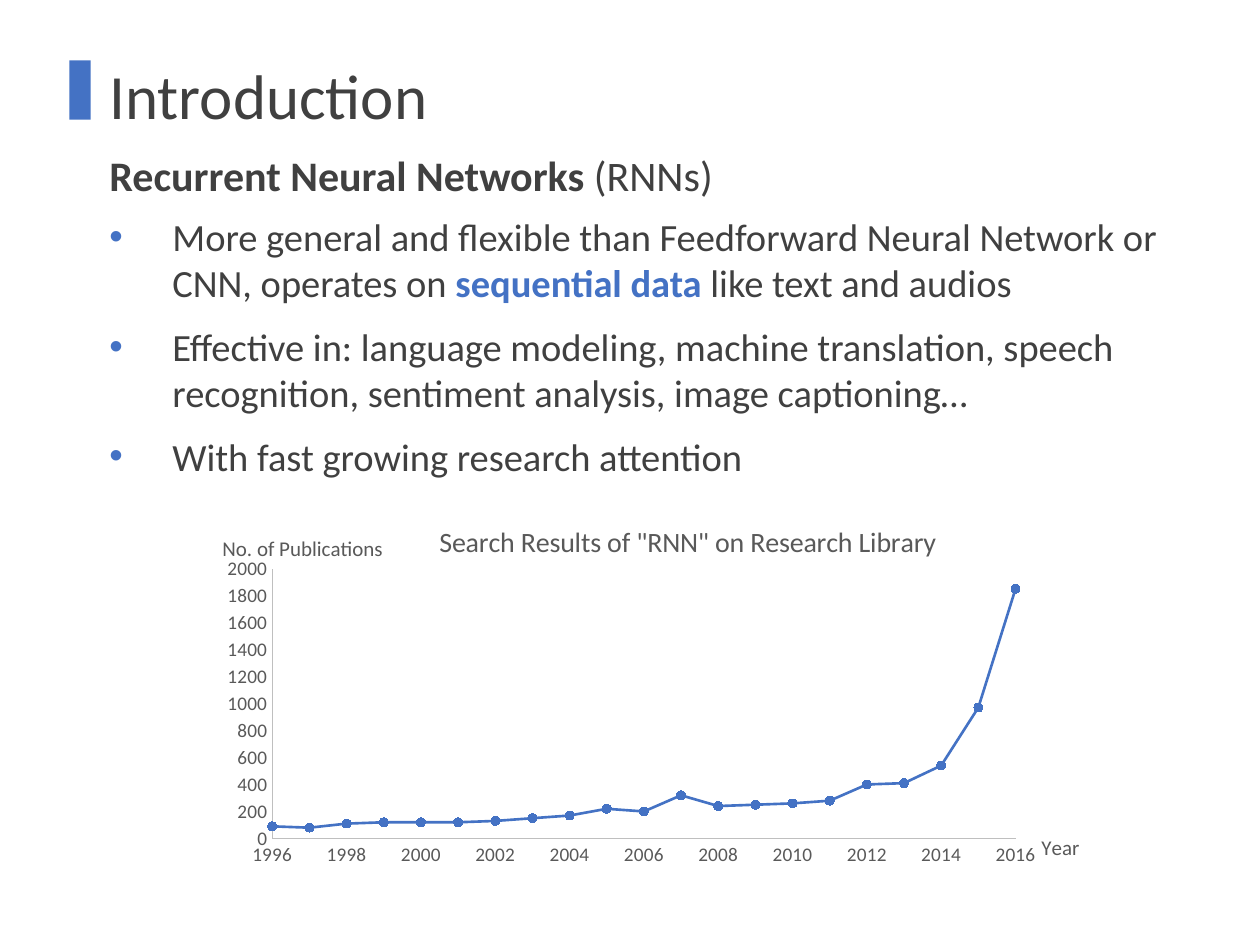
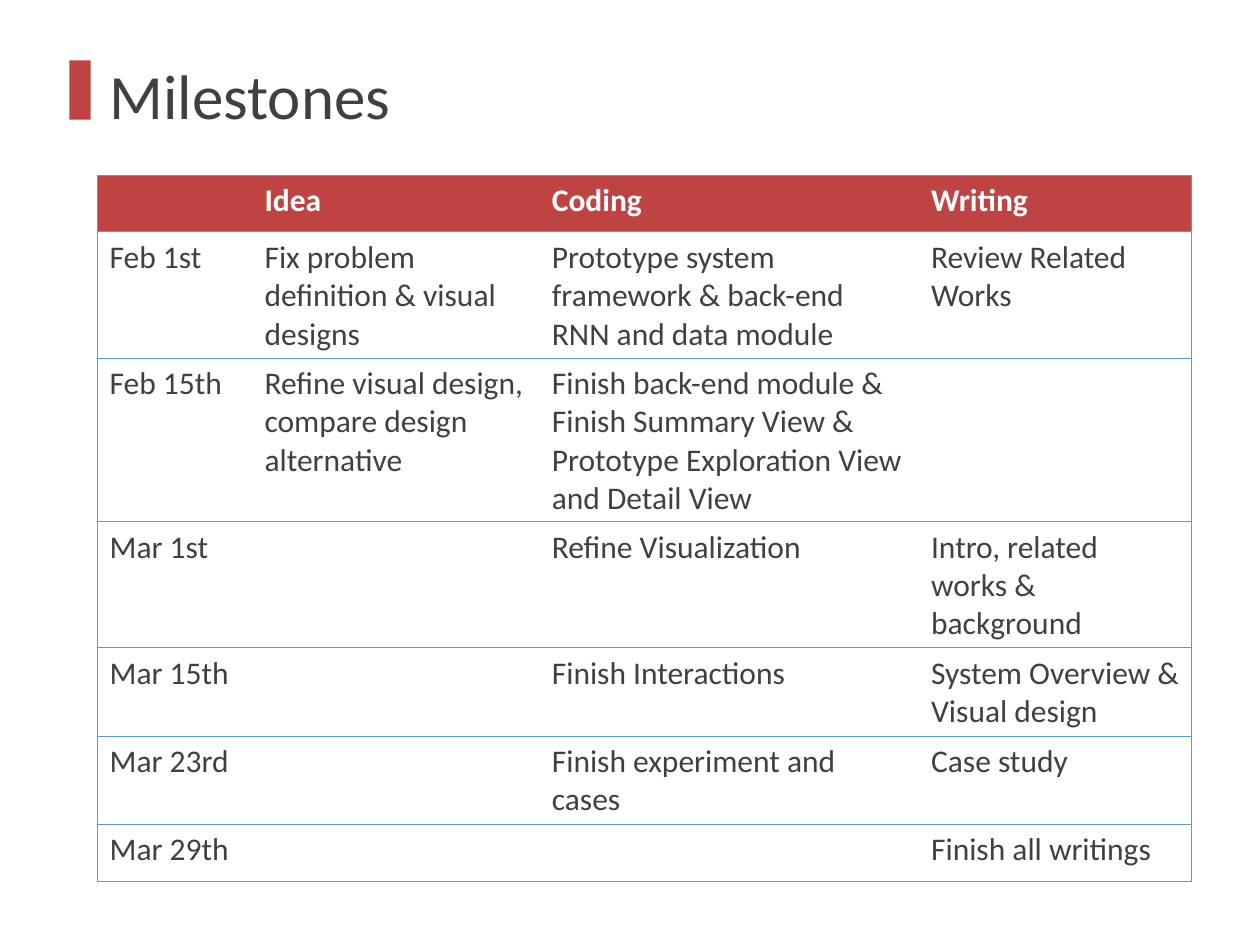
from lxml import etree
from pptx import Presentation
from pptx.chart.data import XyChartData
from pptx.dml.color import RGBColor
from pptx.enum.chart import XL_CHART_TYPE as CT, XL_MARKER_STYLE as MS, XL_TICK_MARK as TM
from pptx.enum.shapes import MSO_SHAPE
from pptx.oxml import parse_xml
from pptx.oxml.ns import nsdecls, qn
from pptx.util import Inches, Pt

FONT = "Calibri"
COLORS = {"text": "404040", "blue": "4472C4", "red": "C04343", "white": "FFFFFF",
          "grid": "5B9BD5", "axis": "BFBFBF", "label": "595959"}
LEFT = 0.77  # shared left edge of all content
PLAIN_TABLE = "{2D5ABB26-0587-4C30-8999-92F81FD0307C}"

BULLETS = [
    [("More general and flexible than Feedforward Neural Network or CNN, operates on ", None),
     ("sequential data ", "blue"), ("like text and audios", None)],
    [("Effective in: language modeling, machine translation, speech recognition, "
      "sentiment analysis, image captioning…", None)],
    [("With fast growing research attention", None)],
]
FIRST_YEAR, LAST_YEAR = 1996, 2016
PUBLICATIONS = [90, 80, 110, 120, 120, 120, 130, 150, 170, 220, 200,
                320, 240, 250, 260, 280, 400, 410, 540, 970, 1850]

COL_WIDTHS = [1.23, 2.28, 3.01, 2.17]
ROW_HEIGHTS = [0.45, 0.77] + [0.45] * 5
MILESTONES = [
    ["", "Idea", "Coding", "Writing"],
    ["Feb 1st", "Fix problem definition & visual designs",
     "Prototype system framework & back-end RNN and data module", "Review Related Works"],
    ["Feb 15th", "Refine visual design, compare design alternative",
     "Finish back-end module & Finish Summary View & Prototype Exploration View "
     "and Detail View", ""],
    ["Mar 1st", "", "Refine Visualization", "Intro, related works & background"],
    ["Mar 15th", "", "Finish Interactions", "System Overview & Visual design"],
    ["Mar 23rd", "", "Finish experiment and cases", "Case study"],
    ["Mar 29th", "", "", "Finish all writings"],
]


def rgb(name):
    return RGBColor.from_string(COLORS[name])


def box(*lengths):
    return [Inches(v) for v in lengths]


def style(font, size, color="text", bold=False):
    font.name, font.size, font.bold = FONT, Pt(size), bold
    font.color.rgb = rgb(color)


def add_run(p, text, size, color="text", bold=False):
    r = p.add_run()
    r.text = text
    style(r.font, size, color, bold)


def add_bullet(p, color):
    pPr = p._p.get_or_add_pPr()
    pPr.set("marL", str(Inches(0.5)))
    pPr.set("indent", str(-Inches(0.5)))
    clr = etree.SubElement(pPr, qn("a:buClr"))
    etree.SubElement(clr, qn("a:srgbClr"), val=COLORS[color])
    etree.SubElement(pPr, qn("a:buFont"), typeface="Arial")
    etree.SubElement(pPr, qn("a:buChar"), char="•")


def add_text(s, top, width, height, paragraphs, bullet=None):
    """Each paragraph is a list of (text, size, color, bold) runs."""
    tf = s.shapes.add_textbox(*box(LEFT, top, width, height)).text_frame
    tf.word_wrap = True
    for i, runs in enumerate(paragraphs):
        p = tf.add_paragraph() if i else tf.paragraphs[0]
        p.space_before = Pt(10)
        if bullet:
            add_bullet(p, bullet)
        for run in runs:
            add_run(p, *run)


def add_titled_slide(prs, title, accent):
    s = prs.slides.add_slide(prs.slide_layouts[6])
    bar = s.shapes.add_shape(MSO_SHAPE.RECTANGLE, *box(0.55, 0.48, 0.17, 0.47))
    bar.shadow.inherit = False
    bar.fill.solid()
    bar.fill.fore_color.rgb = rgb(accent)
    bar.line.fill.background()
    add_text(s, 0.4, 7.49, 0.58, [[(title, 36)]])
    return s


# Chart helpers
def layout(target, x, y, w=None, h=None):
    """Place a chart part by shares of the chart's size."""
    for old in target.findall(qn("c:layout")):
        target.remove(old)
    inner = '<c:layoutTarget val="inner"/>' if w else ""
    size = f'<c:w val="{w}"/><c:h val="{h}"/>' if w else ""
    el = parse_xml(
        f'<c:layout {nsdecls("c")}><c:manualLayout>{inner}<c:xMode val="edge"/>'
        f'<c:yMode val="edge"/><c:x val="{x}"/><c:y val="{y}"/>{size}'
        "</c:manualLayout></c:layout>")
    tx = target.find(qn("c:tx"))
    target.insert(0 if tx is None else target.index(tx) + 1, el)


def set_title(owner, text, size, x, y):
    title = owner.chart_title if hasattr(owner, "chart_title") else owner.axis_title
    tf = title.text_frame
    add_run(tf.paragraphs[0], text, size, "label")
    tf._txBody.find(qn("a:bodyPr")).set("rot", "0")
    layout(title._element, x, y)


def style_axis(axis, low, high, step):
    axis.minimum_scale, axis.maximum_scale, axis.major_unit = low, high, step
    axis.has_major_gridlines = False
    axis.major_tick_mark = axis.minor_tick_mark = TM.NONE
    axis.tick_labels.number_format = "General"
    axis.tick_labels.number_format_is_linked = False
    style(axis.tick_labels.font, 11, "label")
    axis.format.line.color.rgb = rgb("axis")
    axis.format.line.width = Pt(0.75)


def add_publication_chart(s):
    data = XyChartData()
    points = data.add_series("Series 1")
    for year, count in enumerate(PUBLICATIONS, FIRST_YEAR):
        points.add_data_point(year, count)
    chart = s.shapes.add_chart(CT.XY_SCATTER_LINES, *box(1.63, 3.86, 6.99, 3.17), data).chart
    chart.has_legend = False
    chart.font.name, chart.font.size = FONT, Pt(10)
    plot = chart.plots[0]
    plot.vary_by_categories = False
    layout(chart._chartSpace.chart.plotArea, 0.076, 0.206, 0.844, 0.676)

    style_axis(chart.category_axis, FIRST_YEAR, LAST_YEAR, 2)
    style_axis(chart.value_axis, 0, 2000, 200)
    set_title(chart, 'Search Results of "RNN" on Research Library', 16, 0.26, 0.08)
    set_title(chart.category_axis, "Year", 12, 0.945, 0.86)
    set_title(chart.value_axis, "No. of Publications", 12, 0.015, 0.11)

    series = plot.series[0]
    series.smooth = False
    series.format.line.color.rgb = rgb("blue")
    series.format.line.width = Pt(1.5)
    marker = series.marker
    marker.style, marker.size = MS.CIRCLE, 5
    marker.format.fill.solid()
    marker.format.fill.fore_color.rgb = rgb("blue")
    marker.format.line.color.rgb = rgb("blue")


# Table helpers
def add_borders(cell, sides):
    tcPr = cell._tc.get_or_add_tcPr()
    for side in sides:
        ln = etree.SubElement(tcPr, qn(f"a:ln{side}"), w=str(Pt(0.5)))
        fill = etree.SubElement(ln, qn("a:solidFill"))
        etree.SubElement(fill, qn("a:srgbClr"), val=COLORS["grid"])


def add_milestone_table(s, accent):
    n_rows, n_cols = len(MILESTONES), len(COL_WIDTHS)
    frame = s.shapes.add_table(
        n_rows, n_cols, *box(LEFT, 1.39, sum(COL_WIDTHS), sum(ROW_HEIGHTS)))
    table = frame.table
    table.first_row = table.horz_banding = False
    table._tbl.tblPr.find(qn("a:tableStyleId")).text = PLAIN_TABLE
    for col, width in zip(table.columns, COL_WIDTHS):
        col.width = Inches(width)
    for row, height in zip(table.rows, ROW_HEIGHTS):
        row.height = Inches(height)
    for i, texts in enumerate(MILESTONES):
        for j, text in enumerate(texts):
            cell = table.cell(i, j)
            outer = {0: "L", n_cols - 1: "R"}.get(j, "")
            add_borders(cell, outer + "TB")
            if i == 0:
                cell.fill.solid()
                cell.fill.fore_color.rgb = rgb(accent)
            else:
                cell.fill.background()
            if text:
                color = "text" if i else "white"
                add_run(cell.text_frame.paragraphs[0], text, 18, color, i == 0)


def main():
    prs = Presentation()
    prs.slide_width, prs.slide_height = box(10, 7.5)

    # Introduction
    s = add_titled_slide(prs, "Introduction", "blue")
    add_text(s, 1.14, 7.49, 0.58,
             [[("Recurrent Neural Networks ", 24, "text", True), ("(RNNs)", 24)]])
    add_text(s, 1.64, 8.72, 2.97,
             [[(text, 22, accent or "text", bool(accent)) for text, accent in runs]
              for runs in BULLETS], bullet="blue")
    add_publication_chart(s)

    # Milestones
    s = add_titled_slide(prs, "Milestones", "red")
    add_milestone_table(s, "red")

    prs.save("out.pptx")


if __name__ == "__main__":
    main()
